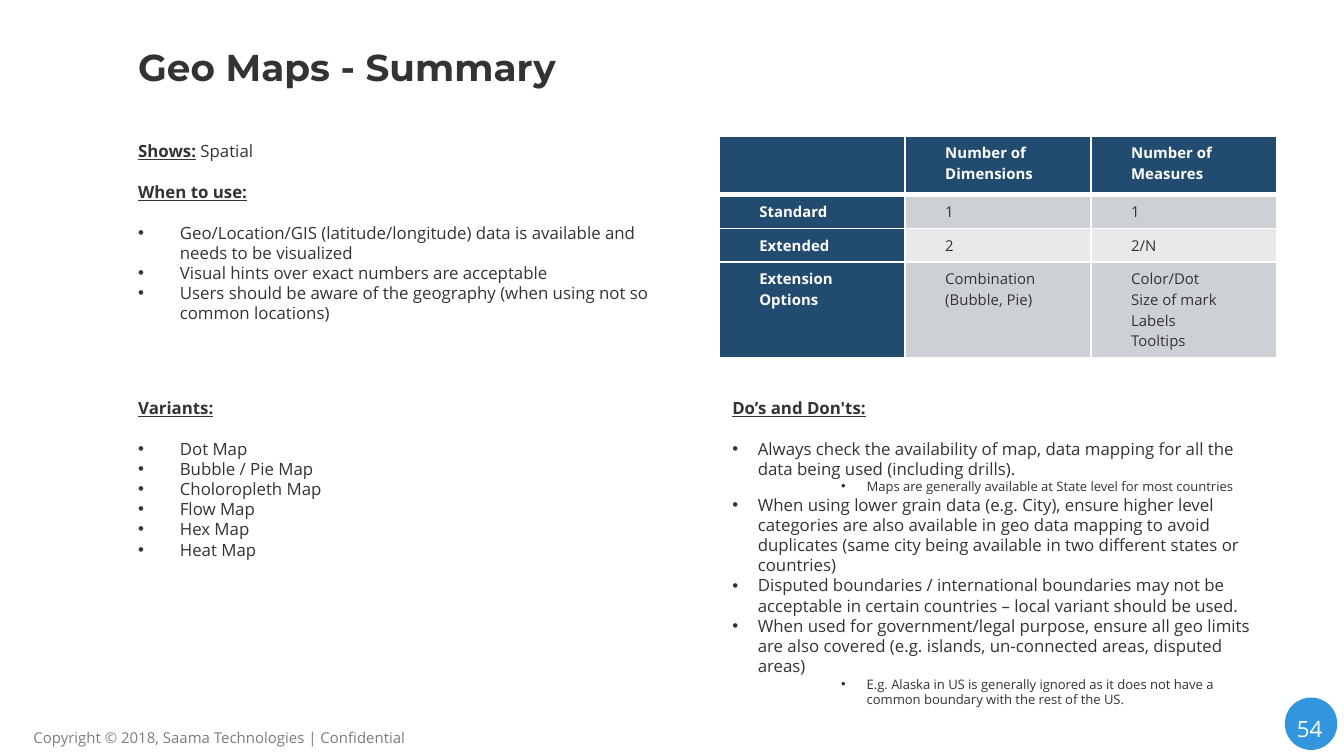
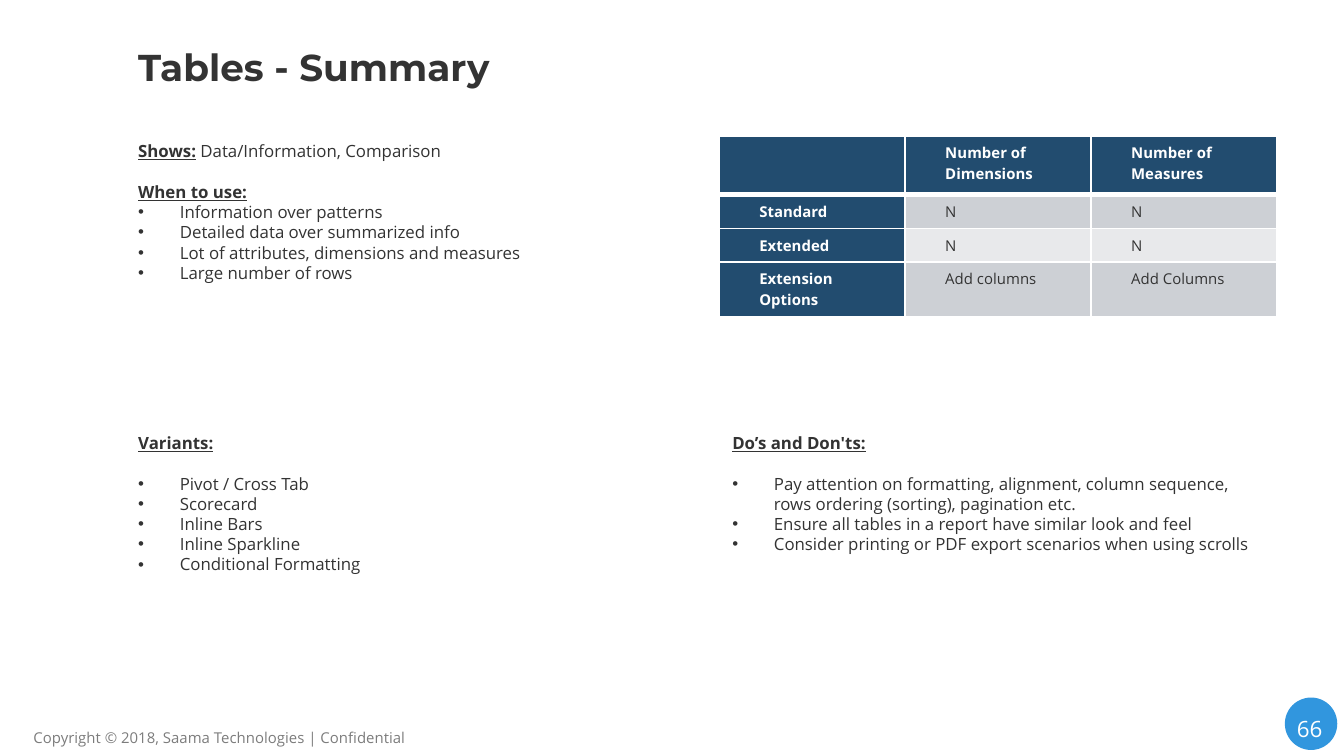
import pptx
import pptx.util
import pptx.dml.color
import pptx.enum.shapes
import pptx.enum.text
import pptx.oxml
import pptx.oxml.ns
import lxml.etree

Inches = pptx.util.Inches
Pt = pptx.util.Pt
qn = pptx.oxml.ns.qn

HUES = {
    "ink": "333333",
    "white": "FFFFFF",
    "navy": "224C6F",
    "blue": "3196DE",
    "gray": "7C7C7C",
    "dark": "CDD0D5",
    "light": "E8E9EB",
}
LEFT, RIGHT, WIDE = 0.93, 5.35, 4.15
LINE = 10.9
STEP = 0.31


def hue(name):
    return pptx.dml.color.RGBColor.from_string(HUES[name])


def say(par, text, font="Open Sans", size=9, color="ink", bold=False, under=False):
    run = par.add_run()
    run.text = text
    run.font.name = font
    run.font.size = Pt(size)
    run.font.color.rgb = hue(color)
    run.font.bold = bold
    run.font.underline = under


def frame(slide, left, top, width, height, middle=False):
    body = slide.shapes.add_textbox(
        Inches(left), Inches(top), Inches(width), Inches(height)).text_frame
    body.word_wrap = True
    anchor = pptx.enum.text.MSO_ANCHOR
    body.vertical_anchor = anchor.MIDDLE if middle else anchor.TOP
    return body


def line(body, gap=0):
    par = body.paragraphs[0]
    if par.runs:
        par = body.add_paragraph()
        par.space_before = Pt(gap)
    return par


def dot(par, left, hang):
    props = par._p.get_or_add_pPr()
    props.set("marL", str(Inches(left)))
    props.set("indent", str(-Inches(hang)))
    face = lxml.etree.SubElement(props, qn("a:buFont"))
    face.set("typeface", "Arial")
    mark = lxml.etree.SubElement(props, qn("a:buChar"))
    mark.set("char", "•")


def points(body, items, step=STEP, gap=LINE):
    for index, item in enumerate(items):
        head, *subs = [item] if isinstance(item, str) else item
        par = line(body, 0 if index else gap)
        dot(par, step, step)
        say(par, head)
        for sub in subs:
            par = line(body)
            par.level = 1
            dot(par, 1, step)
            say(par, sub, size=7)


def usage(slide, left, top, height, shows, uses, gap):
    body = frame(slide, left, top, WIDE, height)
    par = line(body)
    say(par, "Shows:", bold=True, under=True)
    say(par, " " + shows)
    say(line(body, LINE), "When to use:", bold=True, under=True)
    points(body, uses, gap=gap)


def listing(slide, left, top, height, head, items, step=STEP):
    body = frame(slide, left, top, WIDE, height)
    say(line(body), head, bold=True, under=True)
    points(body, items, step)


def edge(cell, low):
    props = cell._tc.get_or_add_tcPr()
    for index, side in enumerate(("lnL", "lnR", "lnT", "lnB")):
        rule = pptx.oxml.parse_xml(
            '<a:%s xmlns:a="http://schemas.openxmlformats.org/drawingml/2006/main" w="%d">'
            '<a:solidFill><a:srgbClr val="%s"/></a:solidFill></a:%s>'
            % (side, Pt(low if side == "lnB" else 1), HUES["white"], side))
        props.insert(index, rule)


def grid(slide, left, top, rows, last):
    highs = (0.44, 0.25, 0.25, last)
    table = slide.shapes.add_table(
        4, 3, Inches(left), Inches(top), Inches(WIDE), Inches(sum(highs))).table
    for col in table.columns:
        col.width = Inches(WIDE / 3)
    heads = ("", "Number of Dimensions", "Number of Measures")
    names = ("Standard", "Extended", "Extension Options")
    cells = [heads] + [(name, *row) for name, row in zip(names, rows)]
    for down, row in enumerate(cells):
        table.rows[down].height = Inches(highs[down])
        for over, text in enumerate(row):
            cell = table.cell(down, over)
            key = down == 0 or over == 0
            cell.margin_left = cell.margin_right = Inches(0.3)
            cell.margin_top = cell.margin_bottom = Inches(0.05)
            cell.fill.solid()
            cell.fill.fore_color.rgb = hue(
                "navy" if key else "dark" if down % 2 else "light")
            edge(cell, 1 if down else 3)
            body = cell.text_frame
            for index, part in enumerate(text.split("\n") if text else []):
                par = body.add_paragraph() if index else body.paragraphs[0]
                say(par, part, size=8, color="white" if key else "ink", bold=key)


def footer(slide, left, top, page):
    disc = slide.shapes.add_shape(
        pptx.enum.shapes.MSO_SHAPE.OVAL,
        Inches(left + 9.41), Inches(top - 0.18), Inches(0.39), Inches(0.39))
    disc.shadow.inherit = False
    disc.fill.solid()
    disc.fill.fore_color.rgb = hue("blue")
    disc.line.fill.background()
    par = frame(slide, left + 9.34, top - 0.31, 0.51, 0.63, True).paragraphs[0]
    par.alignment = pptx.enum.text.PP_ALIGN.CENTER
    par.line_spacing = 1.5
    say(par, page, size=12, color="white")
    par = frame(slide, left, top, 3.92, 0.21).paragraphs[0]
    say(par, "Copyright © 2018, Saama Technologies | Confidential",
        size=8, color="gray")


def summary(deck, title, page, shows, uses, kinds, rules, rows,
            low, tall, last, gap=LINE, step=STEP):
    slide = deck.slides.add_slide(deck.slide_layouts[6])
    footer(slide, 0.15, 5.37, page)
    usage(slide, LEFT, 1, tall[0], shows, uses, gap)
    listing(slide, LEFT, low, tall[1], "Variants:", kinds)
    par = frame(slide, LEFT, 0.14, 8.57, 0.71, True).paragraphs[0]
    say(par, title + " - Summary", font="Montserrat", size=20, bold=True)
    listing(slide, RIGHT, low, 1.97, "Do’s and Don'ts:", rules, step)
    grid(slide, RIGHT, 1.01, rows, last)


def main():
    deck = pptx.Presentation()
    deck.slide_width = Inches(10)
    deck.slide_height = Inches(10 * 9 / 16)
    summary(
        deck, "Geo Maps", "54", "Spatial",
        uses=[
            "Geo/Location/GIS (latitude/longitude) data is available and needs to be visualized",
            "Visual hints over exact numbers are acceptable",
            "Users should be aware of the geography (when using not so common locations)",
        ],
        kinds=["Dot Map", "Bubble / Pie Map", "Choloropleth Map",
               "Flow Map", "Hex Map", "Heat Map"],
        rules=[
            ("Always check the availability of map, data mapping for all the data "
             "being used (including drills).",
             "Maps are generally available at State level for most countries"),
            "When using lower grain data (e.g. City), ensure higher level categories "
            "are also available in geo data mapping to avoid duplicates (same city "
            "being available in two different states or countries)",
            "Disputed boundaries / international boundaries may not be acceptable in "
            "certain countries – local variant should be used.",
            ("When used for government/legal purpose, ensure all geo limits are also "
             "covered (e.g. islands, un-connected areas, disputed areas)",
             "E.g. Alaska in US is generally ignored as it does not have a common "
             "boundary with the rest of the US."),
        ],
        rows=[("1", "1"), ("2", "2/N"),
              ("Combination (Bubble, Pie)", "Color/Dot\nSize of mark\nLabels\nTooltips")],
        low=2.91, tall=(1.72, 1.63), last=0.71, step=0.19)
    summary(
        deck, "Tables", "66", "Data/Information, Comparison",
        uses=["Information over patterns", "Detailed data over summarized info",
              "Lot of attributes, dimensions and measures", "Large number of rows"],
        kinds=["Pivot / Cross Tab", "Scorecard", "Inline Bars",
               "Inline Sparkline", "Conditional Formatting"],
        rules=[
            "Pay attention on formatting, alignment, column sequence, rows ordering "
            "(sorting), pagination etc.",
            "Ensure all tables in a report have similar look and feel",
            "Consider printing or PDF export scenarios when using scrolls",
        ],
        rows=[("N", "N"), ("N", "N"), ("Add columns", "Add Columns")],
        low=3.17, tall=(2.07, 1.19), last=0.41, gap=0)
    deck.save("out.pptx")


if __name__ == "__main__":
    main()
